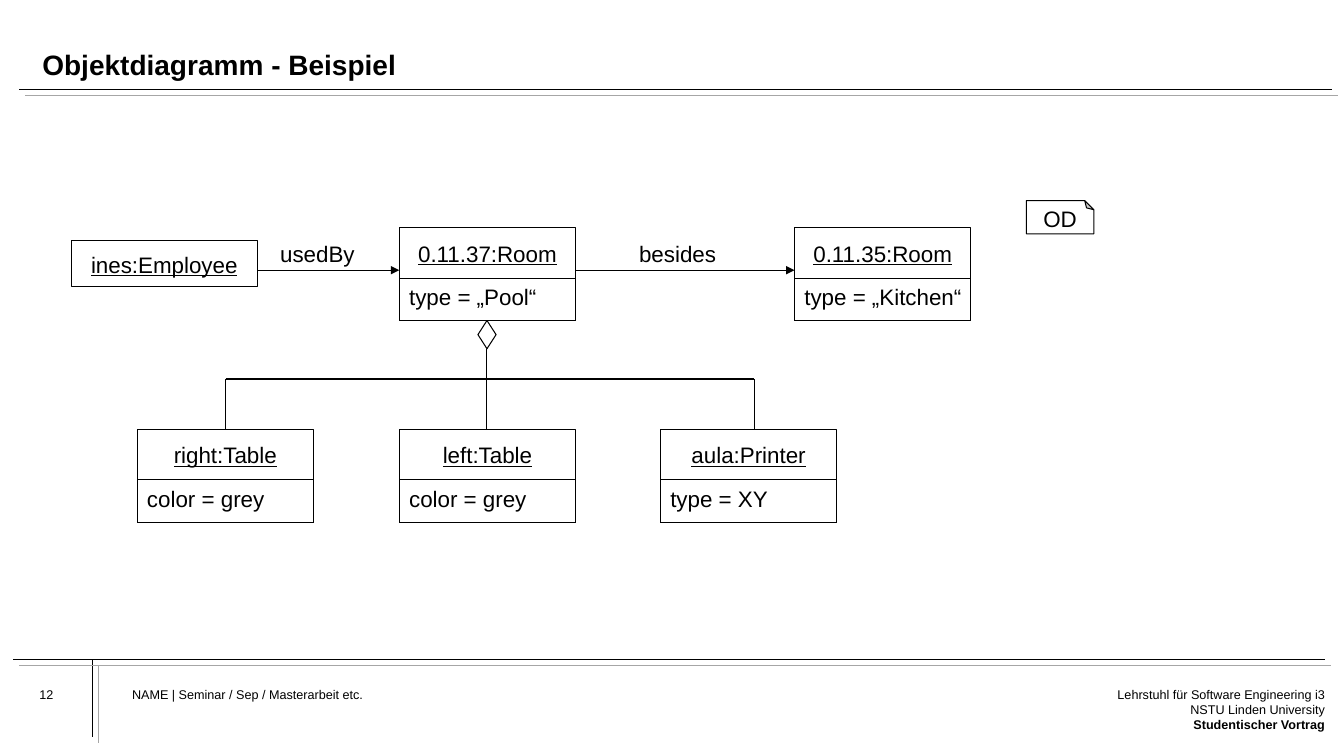
"""Build the slide "Objektdiagramm - Beispiel", a UML object diagram."""
from lxml import etree
from pptx import Presentation
from pptx.dml.color import RGBColor
from pptx.enum.shapes import MSO_CONNECTOR, MSO_SHAPE
from pptx.enum.text import MSO_ANCHOR, PP_ALIGN
from pptx.oxml.ns import qn
from pptx.util import Inches, Pt

LEFT, CENTER, RIGHT = PP_ALIGN.LEFT, PP_ALIGN.CENTER, PP_ALIGN.RIGHT
TOP, MIDDLE, BOTTOM = MSO_ANCHOR.TOP, MSO_ANCHOR.MIDDLE, MSO_ANCHOR.BOTTOM
RECT, DIAMOND, FOLDED = MSO_SHAPE.RECTANGLE, MSO_SHAPE.DIAMOND, MSO_SHAPE.FOLDED_CORNER
STRAIGHT = MSO_CONNECTOR.STRAIGHT
COLORS = {"ink": "000000", "shade": "A6A6A6", "paper": "FFFFFF"}
BOX_W, BOX_H, HEAD_H = 1.75, 0.92, 0.5
ROOM_Y, PART_Y, LINK_Y, BRANCH_Y = 2.26, 4.26, 2.68, 3.76

prs = Presentation()
prs.slide_width, prs.slide_height = Inches(13.33), Inches(7.5)
s = prs.slides.add_slide(prs.slide_layouts[6])


def add_text(x, y, w, h, text, size=16, align=LEFT, anchor=TOP, inset=0, underline=False):
    tf = s.shapes.add_textbox(Inches(x), Inches(y), Inches(w), Inches(h)).text_frame
    tf.word_wrap = True
    tf.vertical_anchor = anchor
    tf.margin_left = tf.margin_right = Inches(inset)
    tf.margin_top = tf.margin_bottom = Inches(inset / 2)
    tf.text = text
    for p in tf.paragraphs:
        p.alignment = align
        for r in p.runs:
            r.font.name, r.font.size = "Arial", Pt(size)
            r.font.underline = underline
            r.font.color.rgb = RGBColor.from_string(COLORS["ink"])
    return tf


def add_line(x1, y1, x2, y2, color="ink", width=0.75, arrow=False):
    line = s.shapes.add_connector(STRAIGHT, Inches(x1), Inches(y1), Inches(x2), Inches(y2))
    line.line.color.rgb = RGBColor.from_string(COLORS[color])
    line.line.width = Pt(width)
    if arrow:
        etree.SubElement(line.line._get_or_add_ln(), qn("a:tailEnd"), type="triangle")
    etree.SubElement(line._element.spPr, qn("a:effectLst"))


for color, shift in [("ink", 0), ("shade", 0.06)]:
    add_line(0.19 + shift, 0.89 + shift, 13.21 + shift, 0.89 + shift, color, 0.5)
    add_line(0.13 + shift, 6.54 + shift, 13.14 + shift, 6.54 + shift, color, 0.5)
    add_line(0.92 + shift, 6.54 + shift, 0.92 + shift, 7.31 + shift, color, 0.5)

title = add_text(0.42, 0.22, 12.56, 0.59, "Objektdiagramm - Beispiel", 20, anchor=BOTTOM)
title.paragraphs[0].line_spacing = 0.9
title.paragraphs[0].runs[0].font.bold = True

add_text(0.39, 6.81, 0.8, 0.43, "12", 9)
add_text(1.31, 6.81, 7.66, 0.69, "NAME | Seminar / Sep / Masterarbeit etc.", 9)
imprint = add_text(10.64, 6.81, 2.5, 0.69,
                   "Lehrstuhl für Software Engineering i3\nNSTU Linden University\vStudentischer Vortrag",
                   9, RIGHT)
imprint.paragraphs[1].runs[-1].font.bold = True

objects = [
    (3.96, ROOM_Y, "0.11.37:Room", "type = „Pool“"),
    (7.88, ROOM_Y, "0.11.35:Room", "type = „Kitchen“"),
    (1.36, PART_Y, "right:Table", "color = grey"),
    (3.96, PART_Y, "left:Table", "color = grey"),
    (6.55, PART_Y, "aula:Printer", "type = XY"),
]
outlines = [(RECT, 0.71, 2.39, 1.84, 0.45), (DIAMOND, 4.74, 3.18, 0.18, 0.28)]
for x, y, name, attribute in objects:
    outlines.append((RECT, x, y, BOX_W, BOX_H))
    outlines.append((RECT, x, y + HEAD_H, BOX_W, BOX_H - HEAD_H))
outlines.append((FOLDED, 10.18, 1.99, 0.67, 0.33))

for kind, x, y, w, h in outlines:
    sp = s.shapes.add_shape(kind, Inches(x), Inches(y), Inches(w), Inches(h))
    sp.shadow.inherit = False
    sp.fill.background()
    sp.line.color.rgb = RGBColor.from_string(COLORS["ink"])
    sp.line.width = Pt(0.75)

note = sp
fold = note._element.spPr.find(qn("a:prstGeom")).find(qn("a:avLst"))
etree.SubElement(fold, qn("a:gd"), name="adj", fmla="val 27600")
note.fill.solid()
note.fill.fore_color.rgb = RGBColor.from_string(COLORS["paper"])
note._element.spPr.find(qn("a:xfrm")).set("flipV", "1")
tf = note.text_frame
tf._txBody.find(qn("a:bodyPr")).set("rot", "10800000")
tf.word_wrap = False
tf.vertical_anchor = MIDDLE
tf.text = "OD"
p = tf.paragraphs[0]
p.alignment, p.line_spacing = CENTER, 0.7
r = p.runs[0]
r.font.name, r.font.size = "Arial", Pt(16)
r.font.color.rgb = RGBColor.from_string(COLORS["ink"])

for x, y, name, attribute in objects:
    add_text(x, y + 0.07, BOX_W, 0.37, name, align=CENTER, inset=0.1, underline=True)
    add_text(x, y + HEAD_H, 1.9, 0.37, attribute, inset=0.1)
add_text(0.71, 2.44, 1.84, 0.37, "ines:Employee", align=CENTER, inset=0.1, underline=True)

for x1, x2, label_x, label in [(2.55, 3.96, 2.68, "usedBy"), (5.71, 7.88, 6.24, "besides")]:
    add_line(x1, LINK_Y, x2, LINK_Y, arrow=True)
    add_text(label_x, 2.33, 1.1, 0.37, label, inset=0.1)

for x in (2.24, 4.83, 7.48):
    add_line(x, BRANCH_Y, x, PART_Y)
add_line(2.24, BRANCH_Y, 7.48, BRANCH_Y)
add_line(4.83, 3.46, 4.83, BRANCH_Y)

prs.save("out.pptx")
